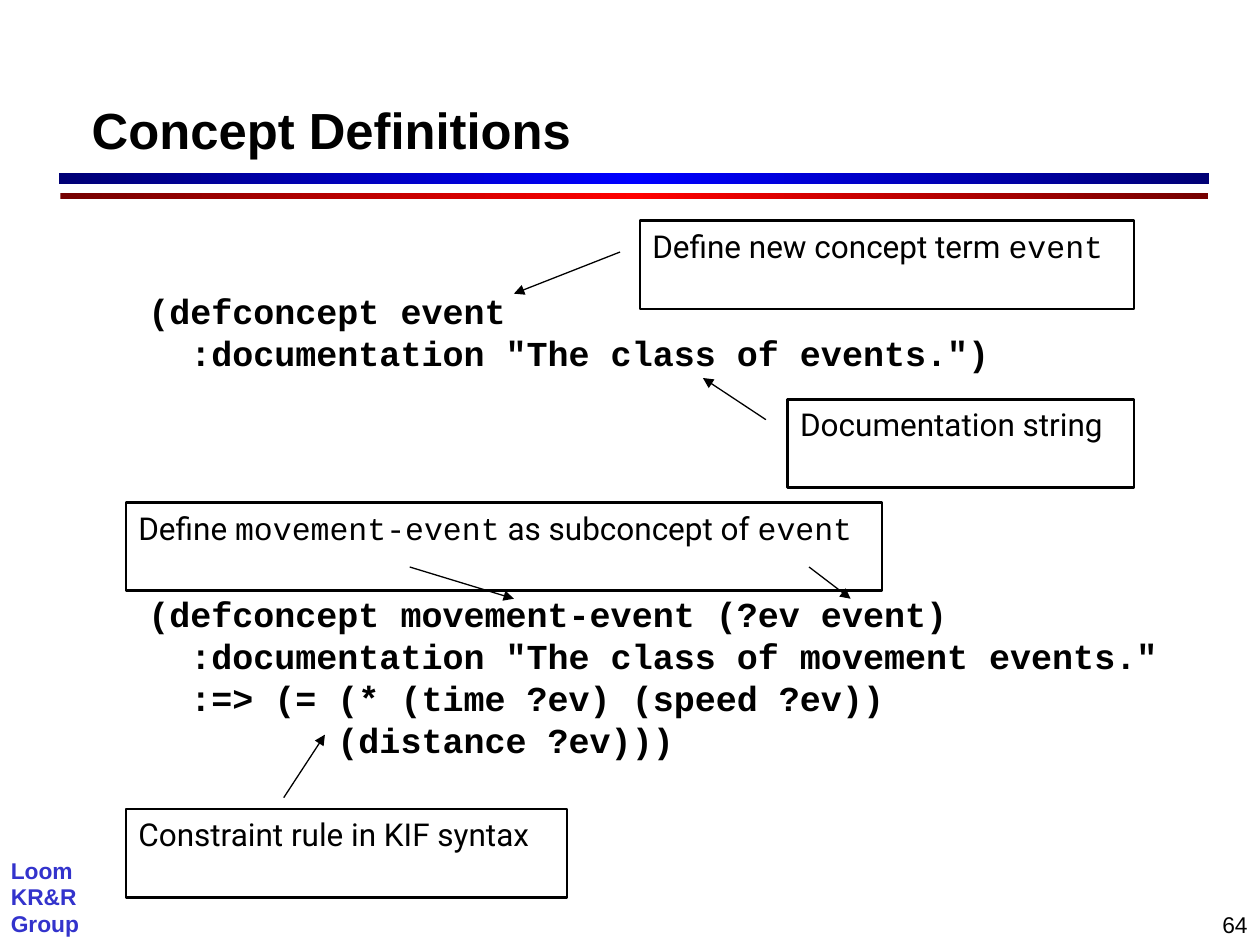
from copy import deepcopy
from dataclasses import dataclass

from pptx import Presentation
from pptx.dml.color import RGBColor
from pptx.enum.shapes import MSO_CONNECTOR, MSO_SHAPE
from pptx.enum.text import MSO_ANCHOR, PP_ALIGN
from pptx.oxml.ns import qn
from pptx.util import Cm, Pt
from lxml import etree

STRAIGHT = MSO_CONNECTOR.STRAIGHT
RECT, ROUND_RECT = MSO_SHAPE.RECTANGLE, MSO_SHAPE.ROUNDED_RECTANGLE
TOP, BOTTOM = MSO_ANCHOR.TOP, MSO_ANCHOR.BOTTOM
LEFT, RIGHT = PP_ALIGN.LEFT, PP_ALIGN.RIGHT


@dataclass(frozen=True)
class Theme:
    ink: RGBColor = RGBColor(0, 0, 0)
    group: RGBColor = RGBColor(0x33, 0x33, 0xCC)
    blues: tuple = ("000075", "0000FF", "000075")
    reds: tuple = ("750000", "FF0000", "750000")
    sans: str = "Arial"
    mono: str = "Courier New"
    label: str = "Roboto"
    title_size: Pt = Pt(29)
    code_size: Pt = Pt(20)
    note_size: Pt = Pt(18)
    small_size: Pt = Pt(13)


THEME = Theme()
NOTE_HEIGHT = 1.78
TITLE = {"name": THEME.sans, "size": THEME.title_size, "bold": True}
CODE = {"name": THEME.mono, "size": THEME.code_size, "bold": True}
NOTE = {"name": THEME.label, "size": THEME.note_size}
TERM = {"name": THEME.mono, "size": THEME.note_size}
SMALL = {"name": THEME.sans, "size": THEME.small_size}
GROUP = SMALL | {"bold": True}

EVENT_CODE = """(defconcept event
  :documentation "The class of events.")"""
MOVEMENT_CODE = """(defconcept movement-event (?ev event)
  :documentation "The class of movement events."
  :=> (= (* (time ?ev) (speed ?ev))
         (distance ?ev)))"""

NOTES = [
    ((12.9, 4.45, 9.96), [("Define new concept term ", NOTE), ("event", TERM)]),
    ((15.88, 8.05, 6.98), [("Documentation string", NOTE)]),
    ((2.54, 10.13, 15.24), [("Define ", NOTE), ("movement-event", TERM),
                            (" as subconcept of ", NOTE), ("event", TERM)]),
    ((2.54, 16.31, 8.89), [("Constraint rule in KIF syntax", NOTE)]),
]
ARROWS = [
    (12.5, 5.08, 10.36, 5.92),
    (15.44, 8.46, 14.17, 7.62),
    (8.26, 11.43, 10.36, 12.07),
    (16.31, 11.43, 17.15, 12.07),
    (5.72, 16.08, 6.55, 14.81),
]


def lengths(values):
    return [Cm(v) for v in values]


def write(sp, runs, color=THEME.ink, align=LEFT, anchor=TOP, spacing=None, inset=None):
    tf = sp.text_frame
    tf.word_wrap = True
    tf.vertical_anchor = anchor
    if inset is not None:
        for side in ("left", "top", "right", "bottom"):
            setattr(tf, f"margin_{side}", Cm(inset))
    p = tf.paragraphs[0]
    p.alignment = align
    p.line_spacing = spacing
    for text, style in runs:
        for i, line in enumerate(text.split("\n")):
            if i:
                p.add_line_break()
            r = p.add_run()
            r.text = line
            r.font.color.rgb = color
            for key, value in style.items():
                setattr(r.font, key, value)


def add_text(s, box, text, style, **layout):
    write(s.shapes.add_textbox(*lengths(box)), [(text, style)], **layout)


def add_stripe(s, box, colors, rounding):
    sp = s.shapes.add_shape(ROUND_RECT, *lengths(box))
    sp.shadow.inherit = False
    sp.adjustments[0] = rounding
    sp.line.fill.background()
    sp.fill.gradient()
    sp.fill.gradient_angle = 0
    stops = sp._element.spPr.find(".//" + qn("a:gsLst"))
    stops.append(deepcopy(stops[0]))
    for i, (stop, color) in enumerate(zip(sp.fill.gradient_stops, colors)):
        stop.position = i / 2
        stop.color.rgb = RGBColor.from_string(color)


def add_note(s, box, runs):
    sp = s.shapes.add_shape(RECT, *lengths((*box, NOTE_HEIGHT)))
    sp.shadow.inherit = False
    sp.fill.background()
    sp.line.color.rgb = THEME.ink
    sp.line.width = Pt(1.5)
    write(sp, runs)


def add_arrow(s, ends):
    c = s.shapes.add_connector(STRAIGHT, *lengths(ends))
    c.line.color.rgb = THEME.ink
    c.line.width = Pt(0.75)
    etree.SubElement(c.line._get_or_add_ln(), qn("a:tailEnd"), type="triangle")
    etree.SubElement(c._element.spPr, qn("a:effectLst"))


def main():
    """Build the concept definitions slide."""
    prs = Presentation()
    prs.slide_width, prs.slide_height = Cm(25.4), Cm(19.05)
    s = prs.slides.add_slide(prs.slide_layouts[6])
    add_stripe(s, (1.22, 3.89, 23.14, 0.13), THEME.reds, 0.03)
    add_stripe(s, (1.19, 3.48, 23.19, 0.23), THEME.blues, 0.02)
    add_text(s, (-0.03, 17.17, 2.01, 1.83), "Loom\nKR&R\nGroup", GROUP,
             color=THEME.group, spacing=0.97)
    add_text(s, (20.6, 18.24, 4.8, 0.79), "64", SMALL, align=RIGHT)
    add_text(s, (1.85, 0.36, 21.69, 2.9), "Concept Definitions", TITLE,
             anchor=BOTTOM, spacing=0.97, inset=0)
    add_text(s, (2.74, 5.72, 20.96, 1.96), EVENT_CODE, CODE, spacing=Pt(24))
    add_text(s, (2.74, 11.81, 21.39, 3.63), MOVEMENT_CODE, CODE, spacing=Pt(24))
    for box, runs in NOTES:
        add_note(s, box, runs)
    for ends in ARROWS:
        add_arrow(s, ends)
    prs.save("out.pptx")


if __name__ == "__main__":
    main()
